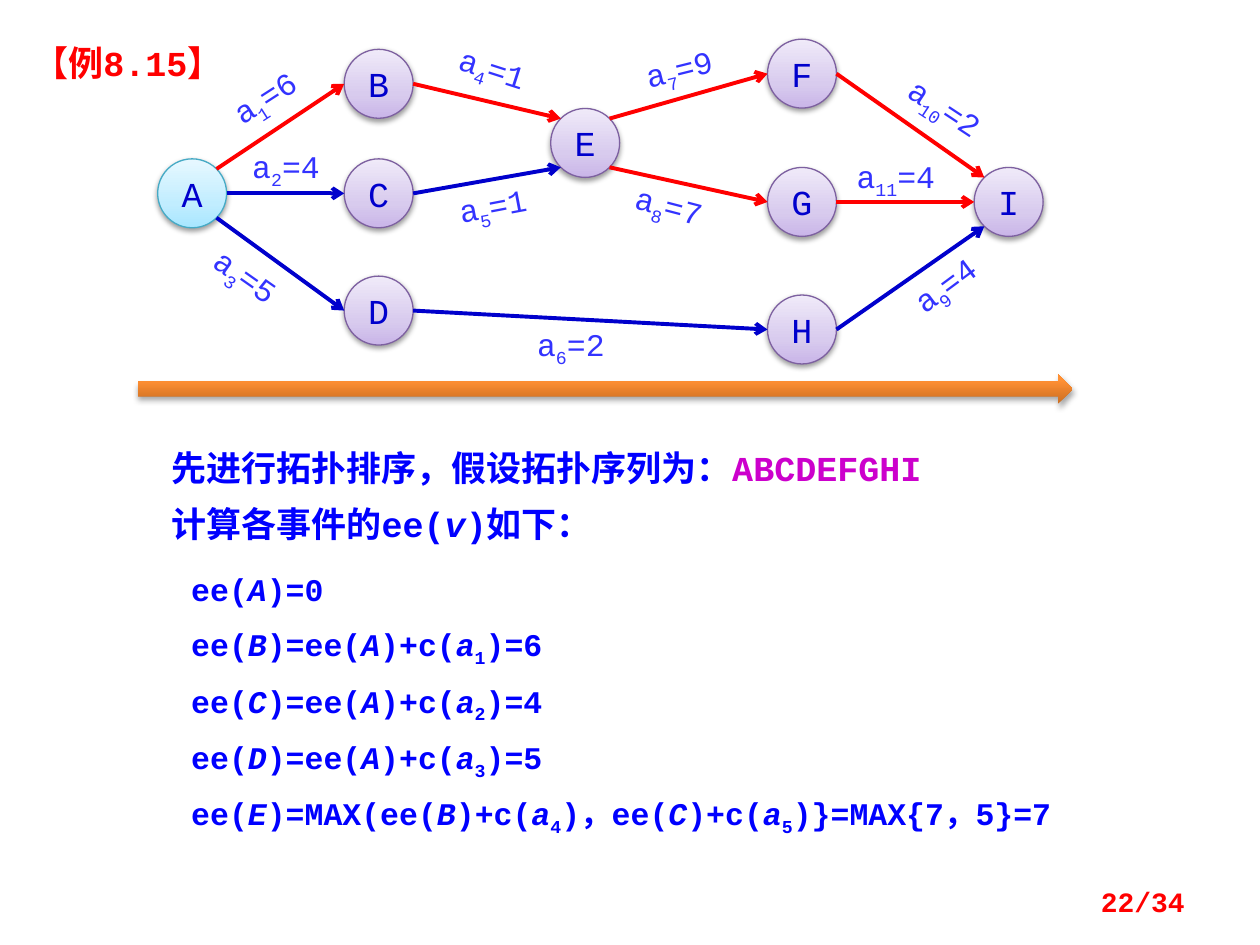
from copy import deepcopy
from math import cos, sin, radians
from lxml.etree import SubElement as Sub
from pptx import Presentation
from pptx.dml.color import RGBColor as RGB
from pptx.enum.shapes import MSO_CONNECTOR as Link, MSO_SHAPE as Kind
from pptx.enum.text import MSO_ANCHOR as Anchor, MSO_AUTO_SIZE as Auto, PP_ALIGN as Align
from pptx.oxml.ns import qn
from pptx.util import Pt

THEME = {
    "font": "Courier New",
    "head": 20, "body": 18, "foot": 16,
    "red": "FF0000", "blue": "0000FF", "navy": "0000CC",
    "label": "3333FF", "pink": "CC00CC",
    "start": ((0, "A7E6FF"), (0.35, "C1EDFF"), (1, "E7F8FF")),
    "node": ((0, "C9B5E8"), (0.35, "D8CBEE"), (1, "F0EAF9")),
    "time": ((0, "CC6E20"), (0.8, "FF9034"), (1, "FF9136")),
    "rim": {"start": "46AAC5", "node": "7D60A0"},
}

TITLE = "【例8.15】"
ORDER = ["先进行拓扑排序，假设拓扑序列为：|#ABCDEFGHI", "计算各事件的ee(|/v|)如下："]
STEPS = [
    "ee(|/A|)=0",
    "ee(|/B|)=ee(|/A|)+c(|/a|_1|)=6",
    "ee(|/C|)=ee(|/A|)+c(|/a|_2|)=4",
    "ee(|/D|)=ee(|/A|)+c(|/a|_3|)=5",
    "ee(|/E|)=MAX(ee(|/B|)+c(|/a|_4|)，ee(|/C|)+c(|/a|_5|)}=MAX{7，5}=7",
]
PAGE = "22/34"

NODES = {
    "A": (109.8, 110.5), "B": (216.4, 47.9), "C": (216.4, 110.5),
    "D": (216.4, 177.5), "E": (334.4, 81.7), "F": (458.3, 42.1),
    "G": (458.3, 115.4), "H": (458.3, 188.3), "I": (576.4, 115.4),
}
FANS = "AEI"
EDGES = [
    ("AB", "red", "a|_1|=6", (151.2, 55.8), -32.7),
    ("AC", "navy", "a|_2|=4", (163.4, 95.4), 0),
    ("AD", "navy", "a|_3|=5", (140.4, 158), 35.2),
    ("BE", "red", "a|_4|=1", (281.5, 39.2), 17.8),
    ("CE", "navy", "a|_5|=1", (281.5, 117.7), -10.8),
    ("DH", "navy", "a|_6|=2", (326.2, 196.9), 0),
    ("EF", "red", "a|_7|=9", (388, 39.2), -14),
    ("EG", "red", "a|_8|=7", (382.3, 117.7), 14.7),
    ("HI", "navy", "a|_9|=4", (540, 163), -36.6),
    ("FI", "red", "a|_10|=2", (540, 61.6), 33.4),
    ("GI", "red", "a|_11|=4", (511.9, 101.2), 0),
]
SIZE = 39.4
TAG = (67.6, 22.4)
TIGHT = {f"margin_{s}": 0 for s in ("left", "top", "right", "bottom")}


def tint(name):
    return RGB.from_string(THEME.get(name, name))


def put(obj, vals):
    for key, val in vals.items():
        setattr(obj, key, val)


def mid(spot, wide, high):
    return [Pt(v) for v in (spot[0] - wide / 2, spot[1] - high / 2, wide, high)]


def write(shape, lines, size, hue, bold=False, frame=None, para=None, gap=0):
    text = shape.text_frame
    put(text, {"word_wrap": True, "vertical_anchor": Anchor.TOP, **(frame or {})})
    for num, line in enumerate(lines):
        par = text.add_paragraph() if num else text.paragraphs[0]
        put(par, {"space_before": Pt(gap if num else 0), **(para or {})})
        for bit in line.split("|"):
            mark = bit[0] if bit[0] in "/_#" else ""
            run = par.add_run()
            run.text = bit[len(mark):]
            put(run.font, {"name": THEME["font"], "size": Pt(THEME[size]),
                           "bold": bold, "italic": mark == "/"})
            run.font.color.rgb = tint("pink" if mark == "#" else hue)
            if mark == "_":
                run.font._element.set("baseline", "-25000")


def box(area, *args, **opts):
    shape = page.shapes.add_textbox(*[Pt(v) for v in area])
    write(shape, *args, **opts)


def blend(shape, stops, alpha, dist):
    shape.fill.gradient()
    shape.fill.gradient_angle = 90
    prop = shape._element.spPr
    group = prop.find(".//" + qn("a:gsLst"))
    group.append(deepcopy(group[0]))
    for stop, (place, hue) in zip(shape.fill.gradient_stops, stops):
        stop.position = place
        stop.color.rgb = tint(hue)
    shape.shadow.inherit = False
    shade = Sub(prop.find(qn("a:effectLst")), qn("a:outerShdw"), blurRad=str(Pt(3.1)),
                dist=str(Pt(dist)), dir="5400000", rotWithShape="0")
    Sub(Sub(shade, qn("a:srgbClr"), val="000000"), qn("a:alpha"), val=str(alpha * 1000))


def port(name, other, side):
    (x, y), far = NODES[name], NODES[other][1]
    turn = radians(45) * ((far > y) - (far < y)) if name in FANS else 0
    return Pt(x + side * SIZE / 2 * cos(turn)), Pt(y + SIZE / 2 * sin(turn))


def join(pair, hue):
    tail, head = pair
    line = page.shapes.add_connector(Link.STRAIGHT, *port(tail, head, 1), *port(head, tail, -1))
    line.line.width = Pt(2.25)
    line.line.color.rgb = tint(hue)
    Sub(line.line._get_or_add_ln(), qn("a:tailEnd"), type="arrow")
    Sub(line._element.spPr, qn("a:effectLst"))


deck = Presentation()
put(deck, {"slide_width": Pt(720), "slide_height": Pt(540)})
page = deck.slides.add_slide(deck.slide_layouts[5])

title = page.shapes.title
put(title, {"left": Pt(0), "top": Pt(20.2), "width": Pt(146.2), "height": Pt(31.7)})
write(title, [TITLE], "head", "red", True, {"auto_size": Auto.NONE},
      {"alignment": Align.CENTER})

for name, spot in NODES.items():
    look = "start" if name == "A" else "node"
    node = page.shapes.add_shape(Kind.OVAL, *mid(spot, SIZE, SIZE))
    node.line.width = Pt(0.75)
    node.line.color.rgb = tint(THEME["rim"][look])
    blend(node, THEME[look], 38, 1.6)
    write(node, [name], "head", "navy", frame={**TIGHT, "vertical_anchor": Anchor.MIDDLE},
          para={"alignment": Align.CENTER})

for pair, hue, label, spot, turn in EDGES:
    join(pair, hue)
    tag = page.shapes.add_textbox(*mid(spot, *TAG))
    tag.rotation = turn
    write(tag, [label], "body", "label", frame=TIGHT, para={"alignment": Align.CENTER})

time = page.shapes.add_shape(Kind.RIGHT_ARROW, *[Pt(v) for v in (78.8, 213.8, 534.2, 16.8)])
time.line.fill.background()
blend(time, THEME["time"], 35, 1.8)

box((90.7, 253.4, 494, 64), ORDER, "head", "blue", True,
    para={"line_spacing": Pt(22)}, gap=10)
box((102.2, 324.7, 531.4, 149), STEPS, "body", "blue", True,
    para={"line_spacing": 0.9, "alignment": Align.JUSTIFY}, gap=10)
box((516.2, 500.4, 167.8, 28.8), [PAGE], "foot", "red", True,
    {"vertical_anchor": Anchor.MIDDLE}, {"alignment": Align.RIGHT})

deck.save("out.pptx")
